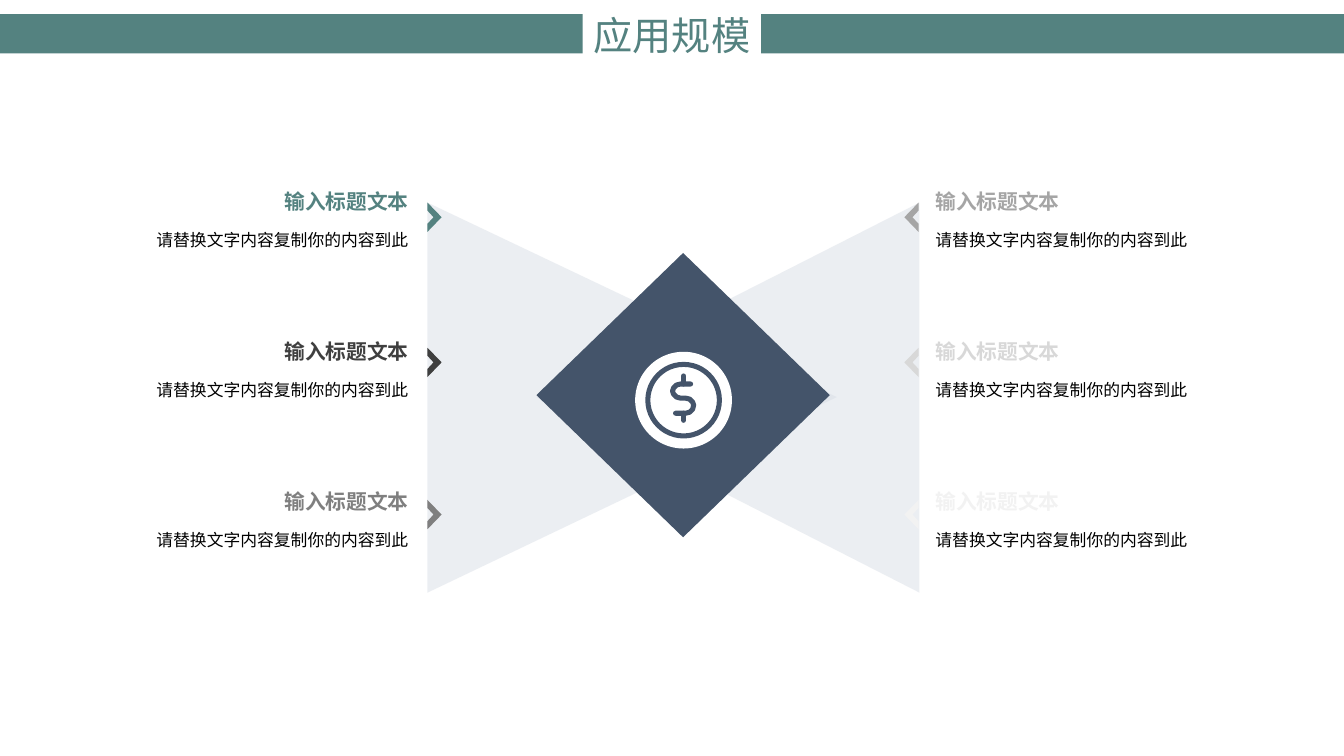
"""Build the slide on the scale of use: six notes around a coin diamond."""
from dataclasses import dataclass

from lxml import etree
from pptx import Presentation
from pptx import util as u
from pptx.dml.color import RGBColor
from pptx.enum import shapes as kinds, text as txt
from pptx.oxml import ns

FACE = "Noto Sans CJK SC"
HUES = {"teal": "548280", "dark": "3F3F3F", "mid": "7F7F7F",
        "gray": "A5A5A5", "pale": "D8D8D8", "faint": "F2F2F2",
        "navy": "44546A", "wing": "D6DCE5", "white": "FFFFFF",
        "black": "000000"}
HEAD = "输入标题文本"
BODY = "请替换文字内容复制你的内容到此"
LEFT, RIGHT = txt.PP_ALIGN.LEFT, txt.PP_ALIGN.RIGHT
Points = list[tuple[float, float]]


@dataclass
class Side:
    edge: float
    way: int
    head: float
    body: float
    align: txt.PP_ALIGN
    hues: tuple[str, str, str]


@dataclass
class Style:
    size: float
    hue: str
    align: txt.PP_ALIGN
    space: float = 1.0
    bold: bool = False
    anchor: txt.MSO_ANCHOR = txt.MSO_ANCHOR.TOP


SIDES = [Side(4.24, 1, 2.55, 0.71, RIGHT, ("teal", "dark", "mid")),
         Side(9.11, -1, 9.18, 9.18, LEFT, ("gray", "pale", "faint"))]
ROWS = [(1.85, 2.01), (3.34, 3.45), (4.83, 4.96)]
CHEVRON = [(0, 0), (0.14, 0.145), (0, 0.29),
           (0, 0.21), (0.06, 0.145), (0, 0.08)]


def color(name: str) -> RGBColor:
    return RGBColor.from_string(HUES[name])


def paint(shape, hue: str) -> None:
    shape.shadow.inherit = False
    shape.fill.solid()
    shape.fill.fore_color.rgb = color(hue)
    shape.line.fill.background()


def stroke(shape, hue: str) -> None:
    shape.shadow.inherit = False
    shape.fill.background()
    shape.line.color.rgb = color(hue)
    shape.line.width = u.Pt(3.6)


def solid(slide, kind, x: float, y: float, w: float, h: float):
    return slide.shapes.add_shape(
        kind, u.Inches(x), u.Inches(y), u.Inches(w), u.Inches(h))


def outline(slide, paths: list[Points], close: bool = True):
    parts = [[(u.Inches(x), u.Inches(y)) for x, y in path] for path in paths]
    pen = slide.shapes.build_freeform(*parts[0][0])
    pen.add_line_segments(parts[0][1:], close)
    for part in parts[1:]:
        pen.move_to(*part[0])
        pen.add_line_segments(part[1:], close)
    return pen.convert_to_shape()


def write(slide, words: str, x: float, y: float, w: float, h: float,
          style: Style) -> None:
    box = slide.shapes.add_textbox(
        u.Inches(x), u.Inches(y), u.Inches(w), u.Inches(h))
    frame = box.text_frame
    frame.word_wrap = True
    frame.vertical_anchor = style.anchor
    para = frame.paragraphs[0]
    para.text = words
    para.alignment = style.align
    para.line_spacing = style.space
    font = para.font
    font.name = FACE
    font.size = u.Pt(style.size)
    font.bold = style.bold
    font.color.rgb = color(style.hue)
    base = para._p.pPr.find(ns.qn("a:defRPr"))
    etree.SubElement(base, ns.qn("a:ea"), typeface=FACE)


def header(slide) -> None:
    for x in (0, 7.55):
        paint(solid(slide, kinds.MSO_SHAPE.RECTANGLE, x, 0.14, 5.78, 0.39),
              "teal")
    write(slide, "应用规模", 5.78, 0.06, 1.77, 0.57,
          Style(28, "teal", txt.PP_ALIGN.CENTER,
                anchor=txt.MSO_ANCHOR.MIDDLE))


def wing(slide, edge: float, tip: float) -> None:
    shape = outline(slide, [[(edge, 2.01), (tip, 3.94), (edge, 5.88)]])
    paint(shape, "wing")
    tint = shape.fill._xPr.find(ns.qn("a:solidFill"))[0]
    etree.SubElement(tint, ns.qn("a:alpha"), val="47000")


def notes(slide, side: Side) -> None:
    for (top, tick), hue in zip(ROWS, side.hues):
        write(slide, BODY, side.body, top + 0.34, 3.44, 0.59,
              Style(12, "black", side.align, 1.2))
        write(slide, HEAD, side.head, top, 1.6, 0.34,
              Style(14.8, hue, side.align, 0.9, True))
        path = [(side.edge + side.way * x, tick + y) for x, y in CHEVRON]
        paint(outline(slide, [path]), hue)


def coin(slide) -> None:
    mid, level = 6.78, 3.97
    paint(solid(slide, kinds.MSO_SHAPE.DIAMOND, 5.32, 2.51, 2.91, 2.82),
          "navy")
    for size in (0.96, 0.71):
        disc = solid(slide, kinds.MSO_SHAPE.OVAL,
                     mid - size / 2, level - size / 2, size, size)
        if size > 0.9:
            paint(disc, "white")
        else:
            stroke(disc, "navy")
    curve = [(6.85, 3.81), (6.75, 3.81), (6.71, 3.82), (6.68, 3.85),
             (6.67, 3.88), (6.68, 3.91), (6.71, 3.94), (6.75, 3.95),
             (6.80, 3.95), (6.84, 3.96), (6.87, 3.99), (6.88, 4.02),
             (6.87, 4.06), (6.84, 4.09), (6.80, 4.1), (6.70, 4.1)]
    bars = [[(mid, 3.73), (mid, 3.81)], [(mid, 4.1), (mid, 4.17)]]
    sign = outline(slide, [curve] + bars, False)
    stroke(sign, "navy")
    line = sign.line._get_or_add_ln()
    line.set("cap", "rnd")
    etree.SubElement(line, ns.qn("a:round"))


def main() -> None:
    deck = Presentation()
    deck.slide_width, deck.slide_height = u.Inches(13.33), u.Inches(7.5)
    slide = deck.slides.add_slide(deck.slide_layouts[6])
    header(slide)
    wing(slide, 9.12, 5.32)
    wing(slide, 4.24, 8.3)
    for side in SIDES:
        notes(slide, side)
    coin(slide)
    deck.save("out.pptx")


if __name__ == "__main__":
    main()
